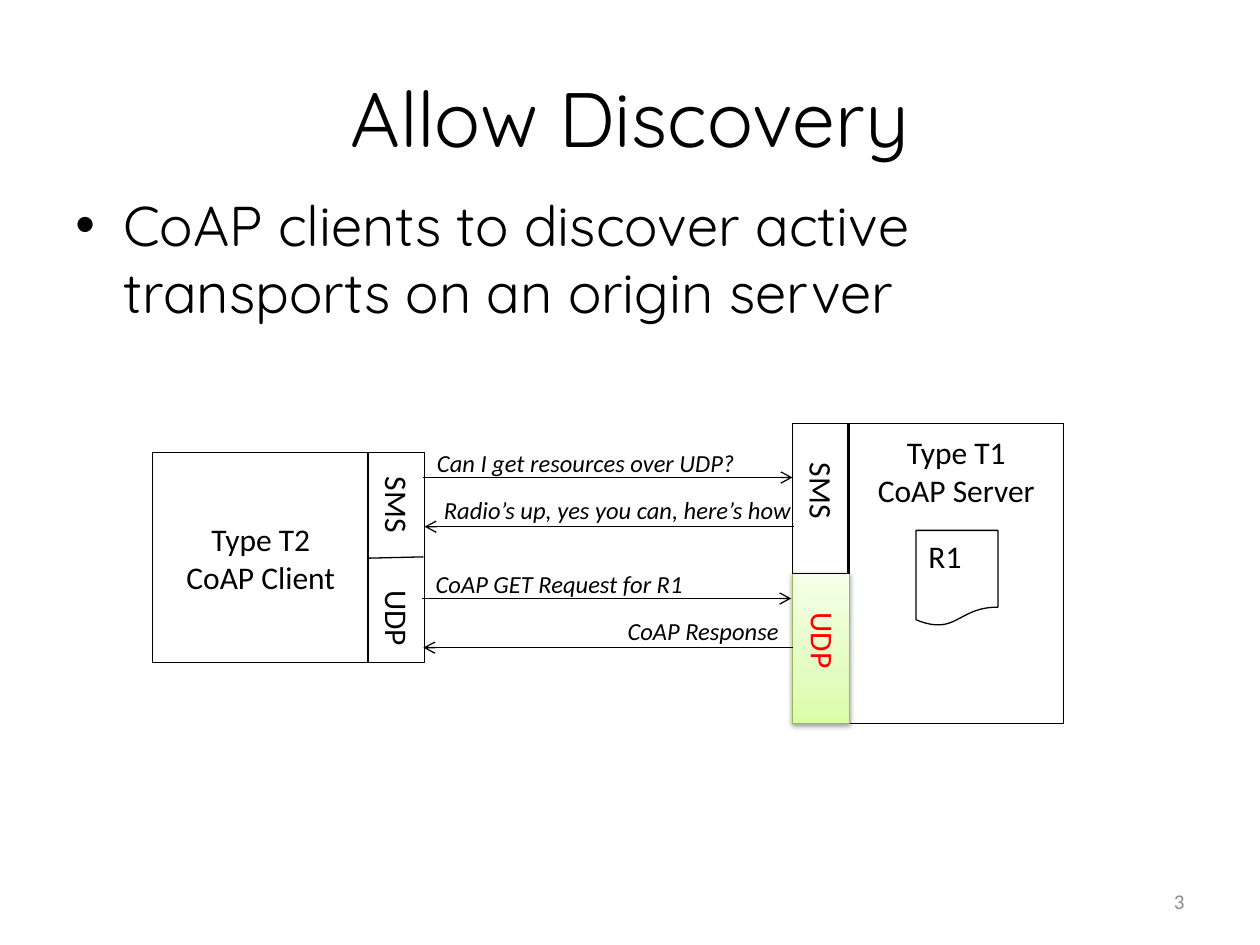
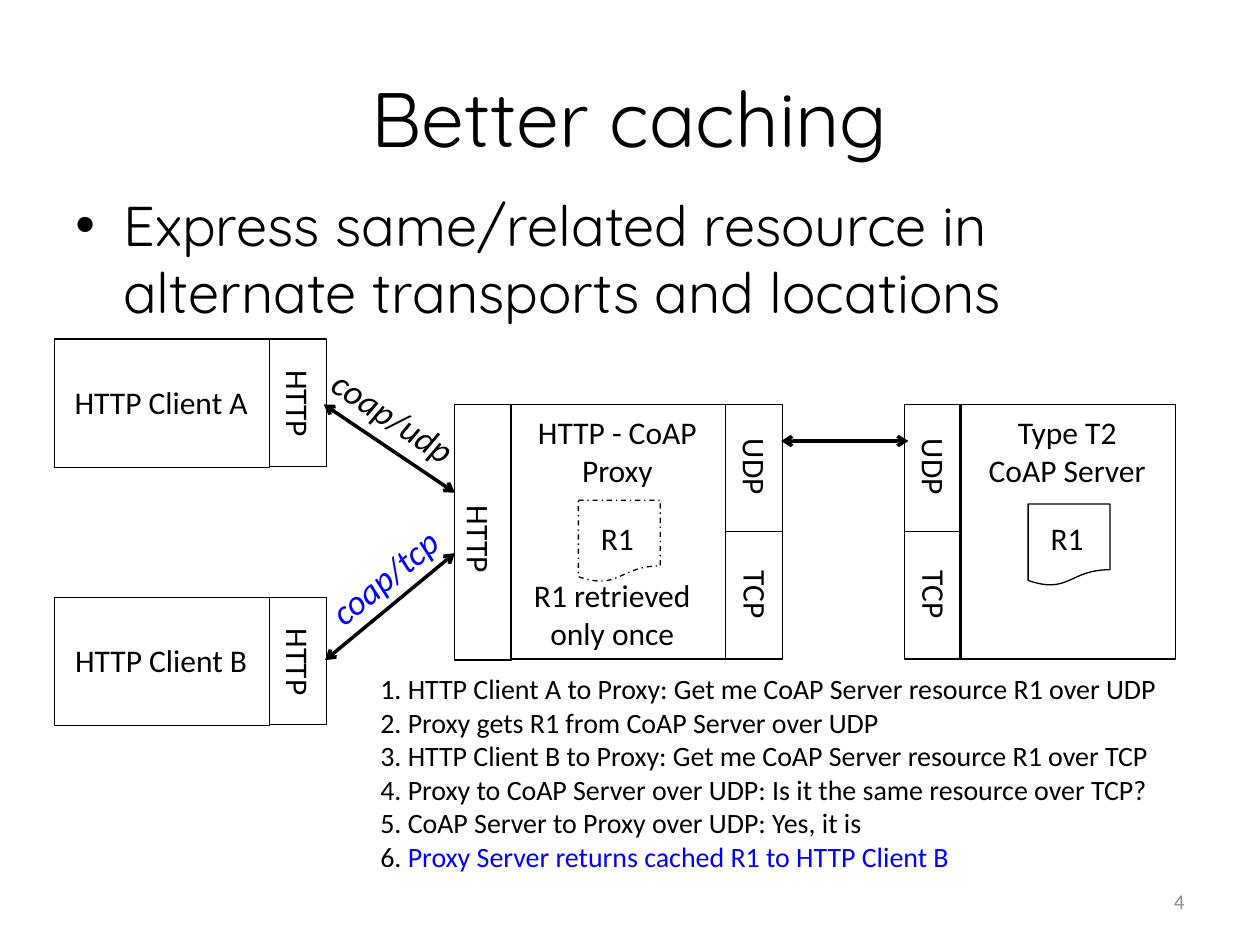
import copy
from dataclasses import dataclass

import lxml.etree
import pptx
import pptx.dml.color
import pptx.enum.dml
import pptx.enum.shapes
import pptx.enum.text
import pptx.oxml.ns
import pptx.util

Inches = pptx.util.Inches
Pt = pptx.util.Pt
RGB = pptx.dml.color.RGBColor.from_string
Align = pptx.enum.text.PP_ALIGN
Anchor = pptx.enum.text.MSO_ANCHOR
Shape = pptx.enum.shapes.MSO_SHAPE
qn = pptx.oxml.ns.qn


@dataclass(frozen=True)
class Theme:
    ink: str = "000000"
    muted: str = "8C8C8C"
    alert: str = "FF0000"
    accent: str = "0000FF"
    green_line: str = "98B955"
    green_stops: tuple = ((0, "DAFDA7"), (0.35, "E4FCC2"), (1, "F5FFE7"))
    heading_font: str = "Quicksand"
    text_font: str = "Calibri"
    title: int = 44
    body: int = 32
    protocol: int = 20
    node: int = 18
    step: int = 16
    message: int = 14
    number: int = 12
    thin: float = 0.75
    thick: float = 2


theme = Theme()


def add_label(slide, at, text, size=theme.node, color=theme.ink, font=theme.text_font,
              align=Align.CENTER, anchor=Anchor.TOP, wrap=True, italic=False, rotation=0):
    label = slide.shapes.add_textbox(*map(Inches, at))
    label.rotation = rotation
    frame = label.text_frame
    frame.word_wrap = wrap
    frame.vertical_anchor = anchor
    frame.text = text
    for paragraph in frame.paragraphs:
        paragraph.alignment = align
        for run in paragraph.runs:
            run.font.size = Pt(size)
            run.font.name = font
            run.font.italic = italic
            run.font.color.rgb = RGB(color)
    return label


def add_box(slide, at, outline=Shape.RECTANGLE):
    box = slide.shapes.add_shape(outline, *map(Inches, at))
    box.shadow.inherit = False
    box.fill.background()
    box.line.color.rgb = RGB(theme.ink)
    box.line.width = Pt(theme.thin)
    return box


deck = pptx.Presentation()
deck.slide_width, deck.slide_height = Inches(10), Inches(7.5)

# Title, bullet and page number of both slides
pages = [
    ("Allow Discovery", "CoAP clients to discover active transports on an origin server", "3"),
    ("Better caching", "Express same/related resource in alternate transports and locations", "4"),
]
for title, bullet, number in pages:
    slide = deck.slides.add_slide(deck.slide_layouts[6])
    add_label(slide, (0.5, 0.3, 9, 1.25), title, theme.title, font=theme.heading_font,
              anchor=Anchor.MIDDLE)
    body = add_label(slide, (0.5, 1.46, 9, 1.44), bullet, theme.body,
                     font=theme.heading_font, align=Align.LEFT)
    paragraph = body.text_frame.paragraphs[0]
    paragraph.space_before = Pt(theme.body * 0.2)
    properties = paragraph._p.get_or_add_pPr()
    properties.set("marL", str(Inches(0.38)))
    properties.set("indent", str(-Inches(0.38)))
    lxml.etree.SubElement(properties, qn("a:buFont")).set("typeface", "Arial")
    lxml.etree.SubElement(properties, qn("a:buChar")).set("char", "\u2022")
    add_label(slide, (7.17, 6.95, 2.33, 0.4), number, theme.number, theme.muted,
              align=Align.RIGHT, anchor=Anchor.MIDDLE)
discovery, caching = deck.slides

node_width, port_width = 1.71, 0.45

# Discovery: server with its SMS and UDP ports
add_box(discovery, (6.73, 3.36, node_width, 2.38))
udp_port = add_box(discovery, (6.29, 4.55, port_width, 1.19))
add_box(discovery, (6.29, 3.36, port_width, 1.19))
add_box(discovery, (7.27, 4.21, 0.65, 0.76), Shape.FLOWCHART_DOCUMENT)
add_label(discovery, (7.27, 4.21, 0.65, 0.4), "R1", align=Align.LEFT)
add_label(discovery, (6.74, 3.39, 1.7, 0.71), "Type T1\nCoAP Server")

# The active UDP port is green with a soft shadow
udp_port.line.color.rgb = RGB(theme.green_line)
udp_port.fill.gradient()
udp_port.fill.gradient_angle = 90
stop_list = udp_port._element.spPr.find(".//" + qn("a:gsLst"))
stop_list.append(copy.deepcopy(stop_list[-1]))
for stop, (position, color) in zip(udp_port.fill.gradient_stops, theme.green_stops):
    stop.position = position
    stop.color.rgb = RGB(color)
effects = udp_port._element.spPr.find(qn("a:effectLst"))
shadow = lxml.etree.SubElement(effects, qn("a:outerShdw"), blurRad=str(Pt(3.1)),
                               dist=str(Pt(1.6)), dir="5400000", rotWithShape="0")
shade = lxml.etree.SubElement(shadow, qn("a:srgbClr"), val=theme.ink)
lxml.etree.SubElement(shade, qn("a:alpha"), val="38000")

# Discovery: client with its ports
add_box(discovery, (1.21, 3.59, node_width, 1.67))
add_box(discovery, (2.92, 3.59, port_width, 1.67))
add_label(discovery, (1.22, 4.08, 1.7, 0.71), "Type T2\nCoAP Client")
for name, at, color in [
    ("SMS", (6.14, 3.76, 0.77, 0.4), theme.ink),
    ("UDP", (6.19, 4.91, 0.69, 0.4), theme.alert),
    ("SMS", (2.77, 3.87, 0.77, 0.4), theme.ink),
    ("UDP", (2.77, 4.77, 0.77, 0.4), theme.ink),
]:
    add_label(discovery, at, name, color=color, align=Align.LEFT, rotation=90)

# Discovery: messages above their arrows
for message, at, align in [
    ("Can I get resources over UDP?", (3.37, 3.51, 2.63, 0.34), Align.LEFT),
    ("Radio\u2019s up, yes you can, here\u2019s how", (3.36, 3.88, 2.92, 0.34), Align.RIGHT),
    ("CoAP GET Request for R1", (3.36, 4.47, 2.23, 0.34), Align.LEFT),
    ("CoAP Response", (4.82, 4.84, 1.46, 0.34), Align.RIGHT),
]:
    label = add_label(discovery, at, message, theme.message, align=align, wrap=False, italic=True)
    if message.startswith("Radio"):
        label.text_frame.margin_right = 0

# Caching: two HTTP clients
for name, top in [("HTTP Client A", 2.69), ("HTTP Client B", 4.74)]:
    add_box(caching, (0.43, top, node_width, 1.02))
    add_box(caching, (2.14, top, port_width, 1.01))
    add_label(caching, (0.43, top + 0.3, 1.7, 0.4), name)
    add_label(caching, (2, top + 0.32, 0.74, 0.4), "HTTP", align=Align.LEFT,
              wrap=False, rotation=90)

# Caching: proxy and server, each with a UDP and a TCP port
for node_left, port_left, name, document_left, document_top in [
    (4.05, 5.76, "HTTP - CoAP Proxy", 4.59, 3.97),
    (7.62, 7.18, "Type T2\nCoAP Server", 8.16, 4),
]:
    add_box(caching, (node_left, 3.21, node_width, 2.02))
    add_label(caching, (node_left, 3.23, 1.7, 0.71), name)
    document = add_box(caching, (document_left, document_top, 0.65, 0.65),
                       Shape.FLOWCHART_DOCUMENT)
    if "Proxy" in name:
        document.line.dash_style = pptx.enum.dml.MSO_LINE.DASH_DOT
    add_label(caching, (document_left + 0.08, 4.07, 0.47, 0.4), "R1",
              align=Align.LEFT, wrap=False)
    for port, top, offset, width in [("UDP", 3.21, -0.09, 0.65), ("TCP", 4.22, -0.05, 0.58)]:
        add_box(caching, (port_left, top, port_width, 1.01))
        add_label(caching, (port_left + offset, top + 0.3, width, 0.4), port,
                  align=Align.LEFT, wrap=False, rotation=90)
add_box(caching, (3.61, 3.21, port_width, 2.03))
add_label(caching, (3.34, 4.18, 0.93, 0.4), "HTTP", align=Align.LEFT, rotation=90)
add_label(caching, (4.01, 4.52, 1.7, 0.71), "R1 retrieved only once")

# Caching: protocols along the client arrows
add_label(caching, (2.4, 3.09, 1.44, 0.44), "coap/udp", theme.protocol,
          italic=True, rotation=33.3)
add_label(caching, (2.33, 4.36, 1.44, 0.44), "coap/tcp", theme.protocol, theme.accent,
          italic=True, rotation=320.4)

# Caching: the exchange step by step
steps = [
    "HTTP Client A to Proxy: Get me CoAP Server resource R1 over UDP",
    "Proxy gets R1 from CoAP Server over UDP",
    "HTTP Client B to Proxy: Get me CoAP Server resource R1 over TCP",
    "Proxy to CoAP Server over UDP: Is it the same resource over TCP?",
    "CoAP Server to Proxy over UDP: Yes, it is",
]
numbered = [f"{index}. {step}" for index, step in enumerate(steps, 1)]
exchange = add_label(caching, (2.92, 5.28, 6.44, 1.78), "\n".join(numbered + ["6. "]),
                     theme.step, align=Align.LEFT, wrap=False)
outcome = exchange.text_frame.paragraphs[-1].add_run()
outcome.text = "Proxy Server returns cached R1 to HTTP Client B"
outcome.font.size = Pt(theme.step)
outcome.font.name = theme.text_font
outcome.font.color.rgb = RGB(theme.accent)

# Lines and arrows of both slides
both_ends = ("headEnd", "tailEnd")
for slide, start, end, width, arrowheads in [
    (discovery, (2.92, 4.43), (3.36, 4.42), theme.thin, ()),
    (discovery, (3.36, 3.79), (6.29, 3.79), theme.thin, ("tailEnd",)),
    (discovery, (3.37, 4.18), (6.3, 4.18), theme.thin, ("headEnd",)),
    (discovery, (3.35, 4.75), (6.28, 4.75), theme.thin, ("tailEnd",)),
    (discovery, (3.36, 5.14), (6.29, 5.14), theme.thin, ("headEnd",)),
    (caching, (2.57, 3.21), (3.61, 3.91), theme.thick, both_ends),
    (caching, (2.58, 5.24), (3.61, 4.39), theme.thick, both_ends),
    (caching, (6.2, 3.5), (7.21, 3.5), theme.thick, both_ends),
]:
    arrow = slide.shapes.add_connector(pptx.enum.shapes.MSO_CONNECTOR.STRAIGHT,
                                       *map(Inches, start + end))
    arrow.line.color.rgb = RGB(theme.ink)
    arrow.line.width = Pt(width)
    for arrowhead in arrowheads:
        lxml.etree.SubElement(arrow.line._get_or_add_ln(), qn("a:" + arrowhead), type="arrow")
    lxml.etree.SubElement(arrow._element.spPr, qn("a:effectLst"))

deck.save("out.pptx")
